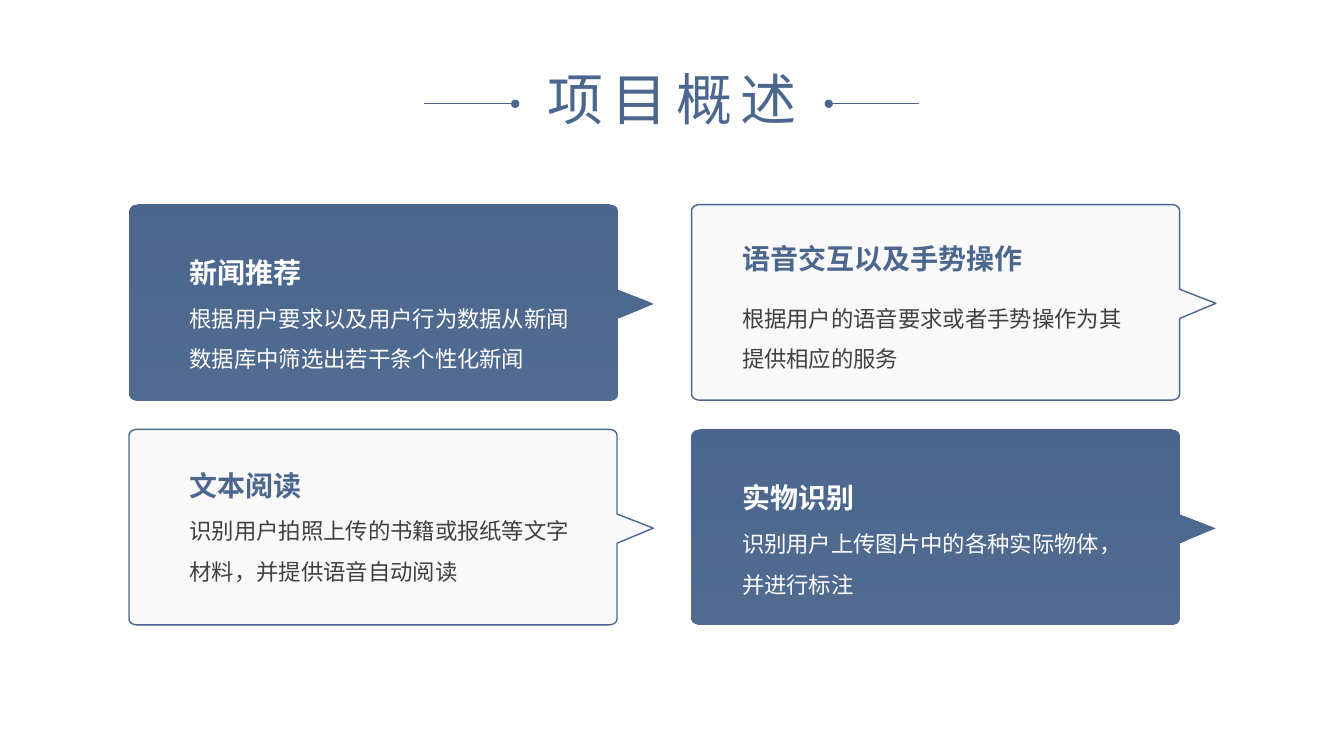
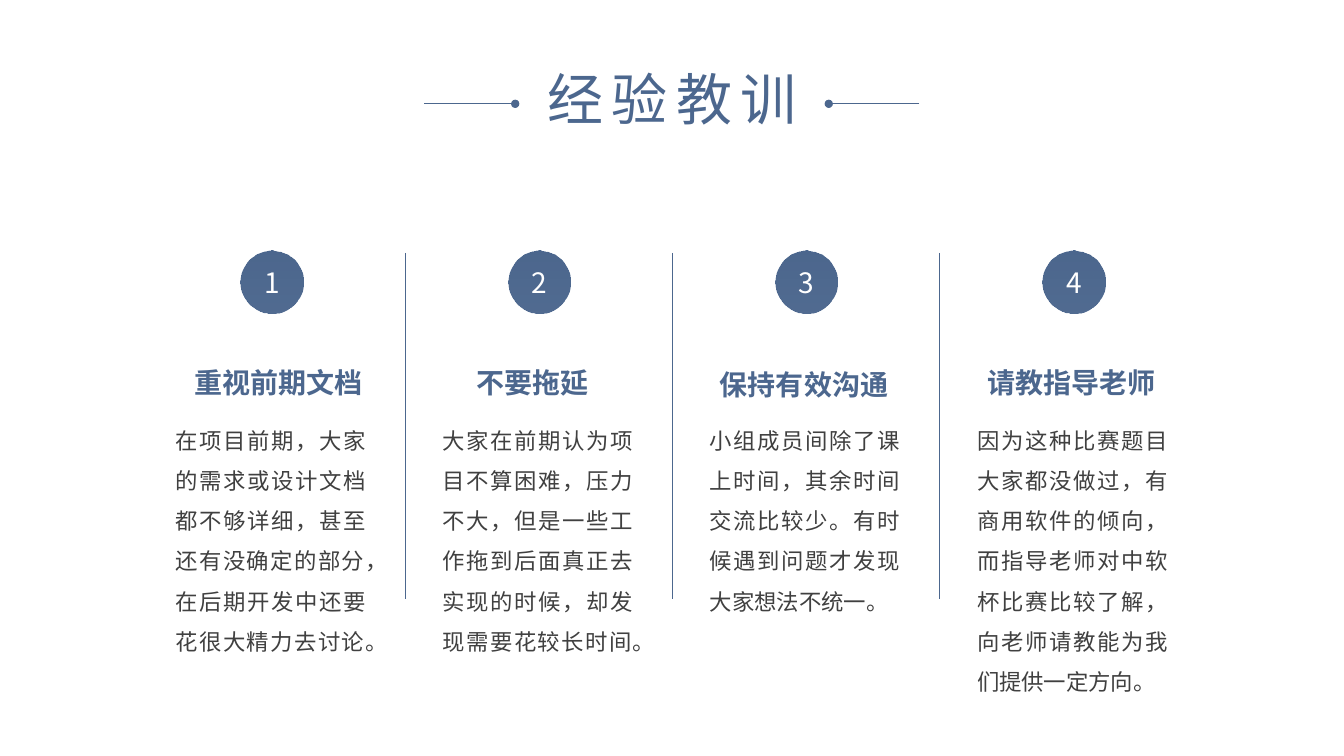
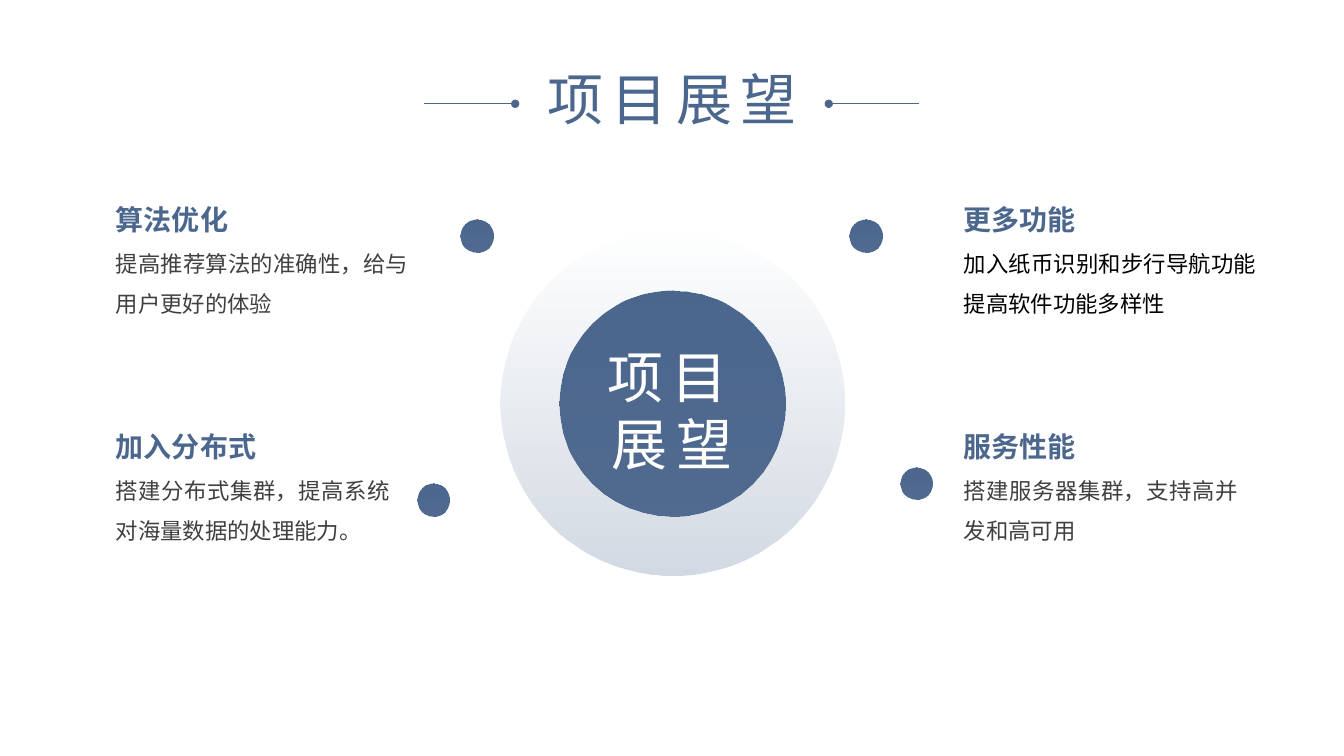
from collections import namedtuple
from math import cos, pi, sin

from lxml.etree import SubElement
from pptx import Presentation
from pptx.dml.color import RGBColor
from pptx.enum.shapes import MSO_CONNECTOR, MSO_SHAPE
from pptx.enum.text import MSO_ANCHOR, MSO_AUTO_SIZE, PP_ALIGN
from pptx.oxml.ns import qn
from pptx.util import Inches, Pt

BLUE = RGBColor(0x4C, 0x67, 0x8E)
PALE = RGBColor(0xF2, 0xF2, 0xF2)
DARK = RGBColor(0x40, 0x40, 0x40)
WHITE = RGBColor(0xFF, 0xFF, 0xFF)
BLACK = RGBColor(0x00, 0x00, 0x00)
FONT = "Noto Sans CJK SC"
LEFT, CENTER, JUSTIFY = PP_ALIGN.LEFT, PP_ALIGN.CENTER, PP_ALIGN.JUSTIFY

Box = namedtuple("Box", "x y w h")
TITLE = Box(5.16, 0.59, 3.01, 0.77)
HEAD_H, BODY_H = 0.45, 0.76

CARDS = [
    ("新闻推荐", "根据用户要求以及用户行为数据从新闻数据库中筛选出若干条个性化新闻", 0.6, 0.34, 0.86),
    ("语音交互以及手势操作", "根据用户的语音要求或者手势操作为其提供相应的服务", 0.5, 0.2, 0.86),
    ("文本阅读", "识别用户拍照上传的书籍或报纸等文字材料，并提供语音自动阅读", 0.6, 0.22, 0.74),
    ("实物识别", "识别用户上传图片中的各种实际物体，并进行标注", 0.5, 0.34, 0.87),
]
LESSONS = [
    ("重视前期文档", "在项目前期，大家的需求或设计文档都不够详细，甚至还有没确定的部分，在后期开发中还要花很大精力去讨论。", 0.55, 3.46),
    ("不要拖延", "大家在前期认为项目不算困难，压力不大，但是一些工作拖到后面真正去实现的时候，却发现需要花较长时间。", 0.7, 3.46),
    ("保持有效沟通", "小组成员间除了课上时间，其余时间交流比较少。有时候遇到问题才发现大家想法不统一。", 0.46, 3.48),
    ("请教指导老师", "因为这种比赛题目大家都没做过，有商用软件的倾向，而指导老师对中软杯比赛比较了解，向老师请教能为我们提供一定方向。", 0.46, 3.46),
]
GOALS = [
    ("算法优化", "提高推荐算法的准确性，给与用户更好的体验", DARK, Box(1.15, 1.84, 2.9, 1.27)),
    ("更多功能", "加入纸币识别和步行导航功能提高软件功能多样性", BLACK, Box(9.56, 1.84, 2.9, 1.27)),
    ("加入分布式", "搭建分布式集群，提高系统对海量数据的处理能力。", DARK, Box(1.15, 4.09, 2.72, 1.27)),
    ("服务性能", "搭建服务器集群，支持高并发和高可用", DARK, Box(9.56, 4.09, 2.72, 1.27)),
]
DOTS = [(4.57, 2.18), (8.43, 2.18), (4.14, 4.8), (8.93, 4.64)]


def emu(box):
    return [Inches(v) for v in box]


def style_text(tf, size, color, align=LEFT, bold=False, spacing=None, tracking=0):
    tf.word_wrap = True
    for p in tf.paragraphs:
        p.alignment = align
        p.line_spacing = spacing
        for r in p.runs:
            r.font.size, r.font.bold, r.font.name = Pt(size), bold, FONT
            r.font.color.rgb = color
            rPr = r.font._element
            SubElement(rPr, qn("a:ea")).set("typeface", FONT)
            if tracking:
                rPr.set("spc", str(tracking * 100))


def add_text(slide, box, text, size, color, align=LEFT, bold=False):
    tf = slide.shapes.add_textbox(*emu(box)).text_frame
    tf.margin_left = tf.margin_right = tf.margin_top = tf.margin_bottom = 0
    tf.auto_size = MSO_AUTO_SIZE.SHAPE_TO_FIT_TEXT
    tf.text = text
    style_text(tf, size, color, align, bold, 1.5)


def add_heading(slide, x, y, text, color, align=LEFT):
    width = 0.3 * len(text) + 0.03
    add_text(slide, Box(x, y, width, HEAD_H), text, 20, color, align, True)


def set_alpha(sp, *alphas):
    colors = sp.element.spPr.iter(qn("a:srgbClr"))
    for clr, alpha in zip(list(colors), alphas):
        SubElement(clr, qn("a:alpha")).set("val", str(alpha * 1000))


def fill_gradient(sp, start=100, end=97):
    sp.shadow.inherit = False
    sp.line.fill.background()
    sp.fill.gradient()
    sp.fill.gradient_angle = 270
    for stop, position in zip(sp.fill.gradient_stops, (0, 1)):
        stop.color.rgb = BLUE
        stop.position = position
    set_alpha(sp, start, end)


def add_circle(slide, x, y, size, start=100, end=97):
    sp = slide.shapes.add_shape(MSO_SHAPE.OVAL, *emu((x, y, size, size)))
    fill_gradient(sp, start, end)
    return sp


def add_line(slide, x1, y1, x2, y2, width, dot=False):
    sp = slide.shapes.add_connector(MSO_CONNECTOR.STRAIGHT, *emu((x1, y1, x2, y2)))
    sp.line.color.rgb = BLUE
    sp.line.width = Pt(width)
    if dot:
        SubElement(sp.line._ln, qn("a:tailEnd")).set("type", "oval")
    SubElement(sp.element.spPr, qn("a:effectLst"))


def add_titled_slide(prs, text):
    slide = prs.slides.add_slide(prs.slide_layouts[5])
    sp = slide.shapes.title
    sp.left, sp.top, sp.width, sp.height = emu(TITLE)
    tf = sp.text_frame
    tf.text = text
    tf.vertical_anchor = MSO_ANCHOR.TOP
    tf.auto_size = MSO_AUTO_SIZE.SHAPE_TO_FIT_TEXT
    style_text(tf, 40, BLUE, CENTER, tracking=6)
    y = 1.03
    for outer, inner in ((4.21, 5.11), (9.12, 8.22)):
        add_line(slide, outer, y, inner, y, 0.5, True)
    return slide


def card_outline(box):
    rx, ry, tip = 0.08, 0.06, 0.36
    right, bottom = box.x + box.w - tip, box.y + box.h
    corners = [
        (right - rx, box.y + ry, -90),
        (right - rx, bottom - ry, 0),
        (box.x + rx, bottom - ry, 90),
        (box.x + rx, box.y + ry, 180),
    ]
    points = []
    for i, (cx, cy, start) in enumerate(corners):
        for step in range(7):
            a = (start + 15 * step) * pi / 180
            points.append((cx + rx * cos(a), cy + ry * sin(a)))
        if i == 0:
            points += [(right, box.y + 0.84), (right + tip, box.y + 0.98), (right, box.y + 1.13)]
    return [tuple(emu(pt)) for pt in points]


def add_card(slide, box, card, filled):
    head, body, indent, head_y, body_y = card
    points = card_outline(box)
    builder = slide.shapes.build_freeform(*points[0])
    builder.add_line_segments(points[1:], close=True)
    sp = builder.convert_to_shape()
    if filled:
        fill_gradient(sp)
    else:
        sp.shadow.inherit = False
        sp.fill.solid()
        sp.fill.fore_color.rgb = PALE
        set_alpha(sp, 44)
        sp.line.color.rgb = BLUE
        sp.line.width = Pt(1)
    x = box.x + indent
    add_heading(slide, x, box.y + head_y, head, WHITE if filled else BLUE)
    add_text(slide, Box(x, box.y + body_y, 3.83, BODY_H), body, 16, WHITE if filled else DARK)


def add_lesson(slide, box, number, lesson):
    head, body, indent, head_y = lesson
    sp = add_circle(slide, box.x + 1.01, box.y, 0.62)
    sp.text_frame.text = str(number)
    sp.text_frame.vertical_anchor = MSO_ANCHOR.MIDDLE
    style_text(sp.text_frame, 20, WHITE, CENTER)
    add_heading(slide, box.x + indent, head_y, head, BLUE, JUSTIFY)
    add_text(slide, Box(box.x + 0.36, box.y + 1.61, 1.89, 2.78), body, 16, DARK, JUSTIFY)


def add_goal(slide, box, head, body, color):
    add_heading(slide, box.x, box.y, head, BLUE, JUSTIFY)
    add_text(slide, Box(box.x, box.y + 0.51, box.w, BODY_H), body, 16, color, JUSTIFY)


def add_hub(slide, box):
    add_circle(slide, box.x, box.y, box.w, 0, 25)
    add_circle(slide, box.x + 0.59, box.y + 0.59, box.w - 1.18)
    label = Box(box.x + 0.83, box.y + 1.06, 1.75, 1.45)
    tf = slide.shapes.add_textbox(*emu(label)).text_frame
    tf.text = "项目展望"
    tf.auto_size = MSO_AUTO_SIZE.SHAPE_TO_FIT_TEXT
    style_text(tf, 40, WHITE, CENTER, tracking=6)


def build_overview(prs):
    slide = add_titled_slide(prs, "项目概述")
    for i, card in enumerate(CARDS):
        row, col = divmod(i, 2)
        box = Box(1.28 + 5.58 * col, 2.03 + 2.23 * row, 5.2, 1.94)
        add_card(slide, box, card, row == col)


def build_lessons(prs):
    slide = add_titled_slide(prs, "经验教训")
    left, pitch = 1.38, 2.65
    for i, lesson in enumerate(LESSONS):
        x = left + pitch * i
        add_lesson(slide, Box(x, 2.49, pitch, 4.39), i + 1, lesson)
        if i:
            add_line(slide, x - 0.01, 2.51, x - 0.01, 5.94, 1)


def build_outlook(prs):
    slide = add_titled_slide(prs, "项目展望")
    add_hub(slide, Box(4.96, 2.29, 3.42, 3.42))
    for x, y in DOTS:
        add_circle(slide, x, y, 0.32)
    for head, body, color, box in GOALS:
        add_goal(slide, box, head, body, color)


def main():
    prs = Presentation()
    prs.slide_width, prs.slide_height = Inches(13.33), Inches(7.5)
    build_overview(prs)
    build_lessons(prs)
    build_outlook(prs)
    prs.save("out.pptx")


if __name__ == "__main__":
    main()
